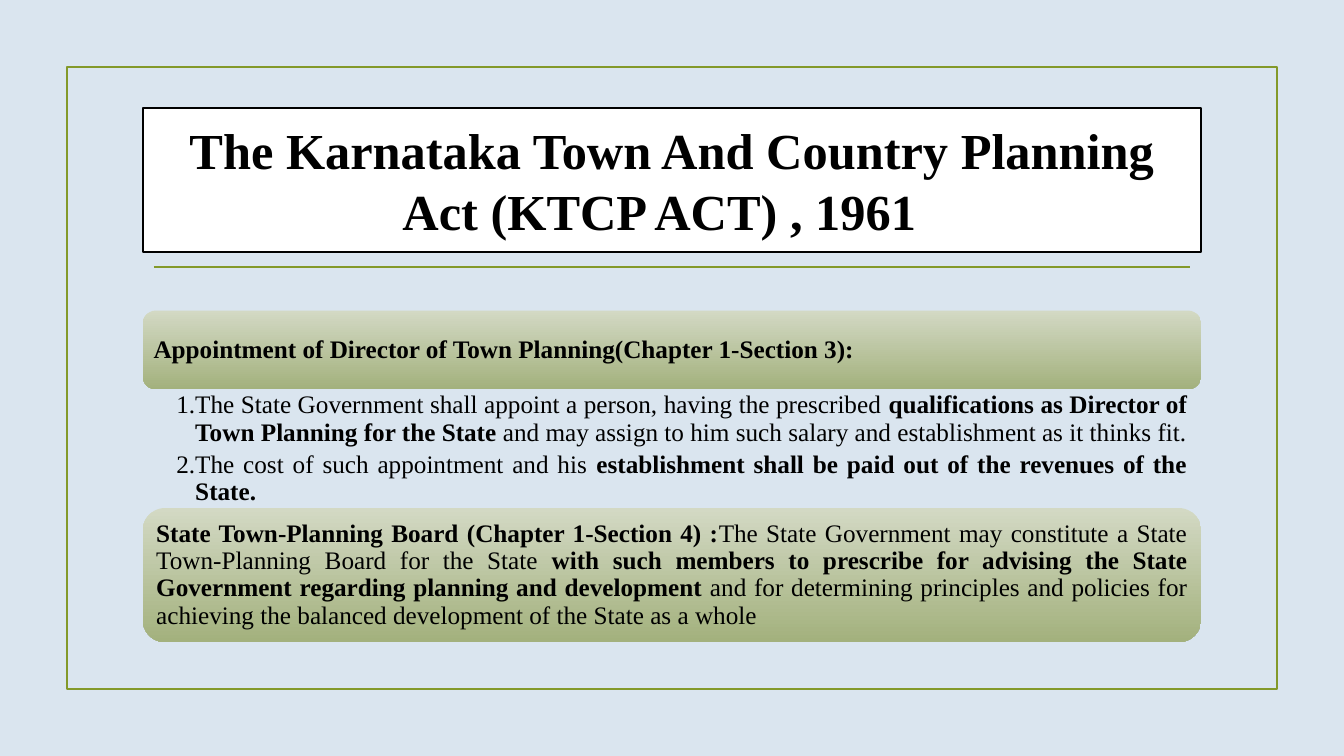
"""Builds a slide on the Karnataka Town and Country Planning Act."""
from lxml.etree import SubElement
from pptx import Presentation
from pptx.dml.color import RGBColor
from pptx.enum.shapes import MSO_CONNECTOR, MSO_SHAPE
from pptx.enum.text import MSO_ANCHOR, PP_ALIGN
from pptx.oxml.ns import qn
from pptx.util import Pt

TITLE = [("The Karnataka Town And Country Planning Act (KTCP ACT) , 1961  ", True)]
DIRECTOR = [("Appointment of Director of Town Planning(Chapter 1-Section 3): ", True)]
DUTIES = [
    [
        ("The State Government shall appoint a person, having the prescribed ", False),
        ("qualifications as Director of Town Planning for the State ", True),
        ("and may assign to him such salary and establishment as it thinks fit. ", False),
    ],
    [
        ("The cost of such appointment and his ", False),
        ("establishment shall be paid out of the revenues of the State. ", True),
    ],
]
BOARD = [
    ("State Town-Planning Board (Chapter 1-Section 4) :", True),
    ("The State Government may constitute a State Town-Planning Board for the State ", False),
    ("with such members to prescribe for advising the State Government regarding "
     "planning and development ", True),
    ("and for determining principles and policies for achieving the balanced "
     "development of the State as a whole", False),
]

FONT = "Times New Roman"
BLACK = RGBColor(0x00, 0x00, 0x00)
WHITE = RGBColor(0xFF, 0xFF, 0xFF)
SKY = RGBColor(0xDA, 0xE5, 0xEF)
OLIVE = RGBColor(0x83, 0x99, 0x2A)
PALE_SAGE = RGBColor(0xD3, 0xD9, 0xC4)
SAGE = RGBColor(0xA3, 0xB1, 0x7D)

SLIDE_WIDTH, SLIDE_HEIGHT = 960, 540
FRAME_MARGIN = 48
COLUMN_LEFT, COLUMN_WIDTH = 102, 756
RULE_INSET, RULE_TOP = 8, 190.8
TITLE_TOP, TITLE_HEIGHT = 77, 103
BODY_TOP = 221.8
DIRECTOR_HEIGHT, DUTIES_HEIGHT, BOARD_HEIGHT = 56.2, 84.9, 95.8
LINE_WIDTH = 1.25
NUMBER_INDENT = 13.5


def add_box(slide, preset, left, top, width, height, line_color=None):
    shape = slide.shapes.add_shape(preset, Pt(left), Pt(top), Pt(width), Pt(height))
    shape.shadow.inherit = False
    shape.fill.background()
    if line_color is None:
        shape.line.fill.background()
    else:
        shape.line.color.rgb = line_color
        shape.line.width = Pt(LINE_WIDTH)
    return shape


def set_frame(shape, anchor, insets):
    frame = shape.text_frame
    frame.word_wrap = True
    frame.vertical_anchor = anchor
    (frame.margin_left, frame.margin_top,
     frame.margin_right, frame.margin_bottom) = [Pt(inset) for inset in insets]
    return frame


def write(paragraph, runs, size, alignment, line_spacing=1.0):
    paragraph.alignment = alignment
    paragraph.line_spacing = line_spacing
    for text, bold in runs:
        run = paragraph.add_run()
        run.text = text
        run.font.name = FONT
        run.font.size = Pt(size)
        run.font.bold = bold
        run.font.color.rgb = BLACK


def add_panel(slide, top, height, runs):
    panel = add_box(slide, MSO_SHAPE.ROUNDED_RECTANGLE, COLUMN_LEFT, top, COLUMN_WIDTH, height)
    panel.fill.gradient()
    panel.fill.gradient_angle = 270
    for stop, color in zip(panel.fill.gradient_stops, (PALE_SAGE, SAGE)):
        stop.color.rgb = color
    frame = set_frame(panel, MSO_ANCHOR.MIDDLE, (5, 5, 5, 5))
    write(frame.paragraphs[0], runs, 18, PP_ALIGN.JUSTIFY, 0.9)


def add_numbered_list(slide, top, height, items):
    box = slide.shapes.add_textbox(Pt(COLUMN_LEFT), Pt(top), Pt(COLUMN_WIDTH), Pt(height))
    frame = set_frame(box, MSO_ANCHOR.TOP, (24, 2, 10, 2))
    for index, runs in enumerate(items):
        paragraph = frame.add_paragraph() if index else frame.paragraphs[0]
        write(paragraph, runs, 18, PP_ALIGN.JUSTIFY, 0.9)
        paragraph.level = 1
        paragraph.space_after = Pt(3.6)
        properties = paragraph._p.get_or_add_pPr()
        properties.set("marL", str(Pt(NUMBER_INDENT)))
        properties.set("indent", str(-Pt(NUMBER_INDENT)))
        SubElement(properties, qn("a:buAutoNum"), type="arabicPeriod")


def main():
    presentation = Presentation()
    presentation.slide_width = Pt(SLIDE_WIDTH)
    presentation.slide_height = Pt(SLIDE_HEIGHT)
    slide = presentation.slides.add_slide(presentation.slide_layouts[6])
    slide.background.fill.solid()
    slide.background.fill.fore_color.rgb = SKY

    add_box(slide, MSO_SHAPE.RECTANGLE, FRAME_MARGIN, FRAME_MARGIN,
            SLIDE_WIDTH - 2 * FRAME_MARGIN, SLIDE_HEIGHT - 2 * FRAME_MARGIN, OLIVE)
    rule = slide.shapes.add_connector(
        MSO_CONNECTOR.STRAIGHT, Pt(COLUMN_LEFT + RULE_INSET), Pt(RULE_TOP),
        Pt(COLUMN_LEFT + COLUMN_WIDTH - RULE_INSET), Pt(RULE_TOP))
    rule.line.color.rgb = OLIVE
    rule.line.width = Pt(LINE_WIDTH)
    SubElement(rule._element.spPr, qn("a:effectLst"))

    title = add_box(slide, MSO_SHAPE.RECTANGLE, COLUMN_LEFT, TITLE_TOP,
                    COLUMN_WIDTH, TITLE_HEIGHT, BLACK)
    title.fill.solid()
    title.fill.fore_color.rgb = WHITE
    frame = set_frame(title, MSO_ANCHOR.MIDDLE, (7.2, 3.6, 7.2, 3.6))
    write(frame.paragraphs[0], TITLE, 36, PP_ALIGN.CENTER)

    duties_top = BODY_TOP + DIRECTOR_HEIGHT
    board_top = duties_top + DUTIES_HEIGHT
    add_panel(slide, BODY_TOP, DIRECTOR_HEIGHT, DIRECTOR)
    add_numbered_list(slide, duties_top, DUTIES_HEIGHT, DUTIES)
    add_panel(slide, board_top, BOARD_HEIGHT, BOARD)
    presentation.save("out.pptx")


if __name__ == "__main__":
    main()
